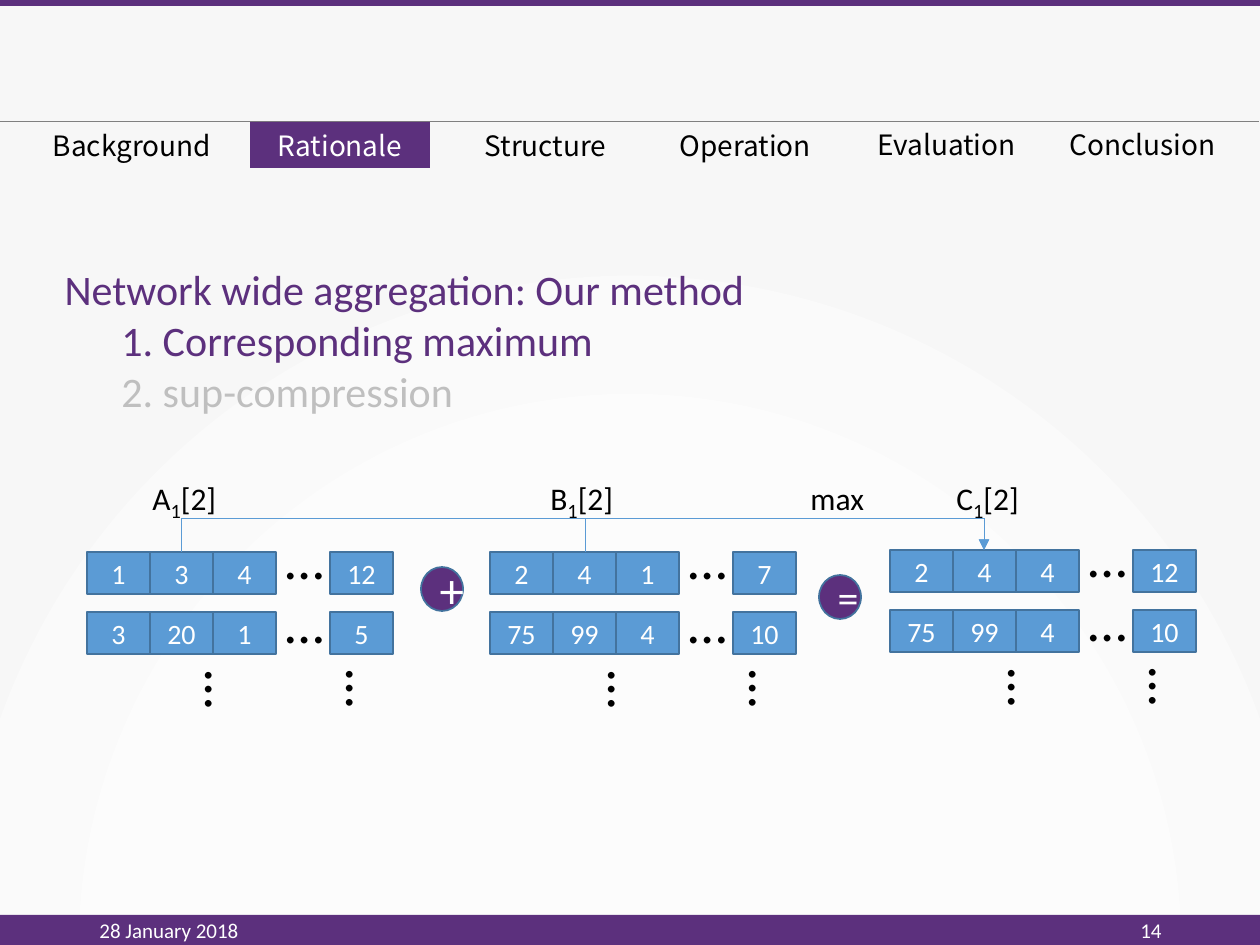
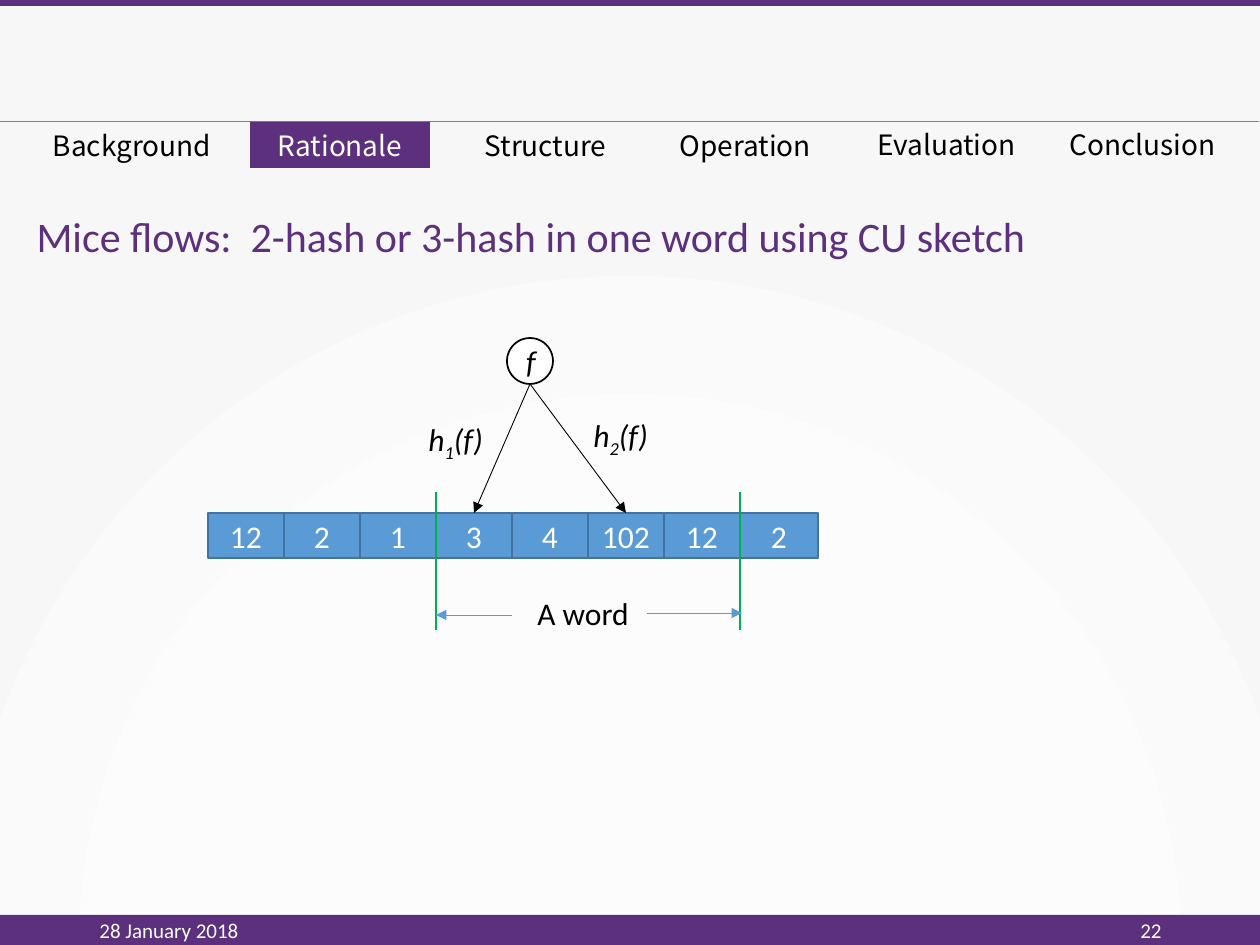
from dataclasses import dataclass

from pptx import Presentation
from pptx import oxml as ox
from pptx import util as u
from pptx.dml.color import RGBColor as Rgb
from pptx.enum import shapes as es, text as et
from pptx.oxml import ns

SCALE = 914400 / 126  # EMU in one px


@dataclass(frozen=True)
class Theme:
    brand: str = "5C307D"
    cell: str = "5B9BD5"
    edge: str = "43739E"
    rule: str = "808080"
    mark: str = "00B050"
    faded: str = "BFBFBF"
    dark: str = "000000"
    light: str = "FFFFFF"
    body: str = "Calibri"
    tab: str = "Noto Sans CJK SC"
    small: int = 12
    cells: int = 16
    label: int = 18
    sub: int = 20
    head: int = 24
    plus: int = 28
    dots: int = 32


T = Theme()
LEFT, MID, RIGHT = et.PP_ALIGN.LEFT, et.PP_ALIGN.CENTER, et.PP_ALIGN.RIGHT
TOP, HALF = et.MSO_ANCHOR.TOP, et.MSO_ANCHOR.MIDDLE
RECT, OVAL = es.MSO_SHAPE.RECTANGLE, es.MSO_SHAPE.OVAL

TABS = [  # name, left, top, width
    ("Background", 38, 122, 188),
    ("Rationale", 250, 122, 180),
    ("Structure", 471, 122, 149),
    ("Operation", 664, 122, 163),
    ("Evaluation", 864, 121, 165),
    ("Conclusion", 1055, 121, 175),
]
TABLES = [  # left, top, rows
    (87, 552, [(1, 3, 4, 12), (3, 20, 1, 5)]),
    (490, 552, [(2, 4, 1, 7), (75, 99, 4, 10)]),
    (890, 550, [(2, 4, 4, 12), (75, 99, 4, 10)]),
]
CELL_W, CELL_H, ROW_STEP, LAST_X = 63, 42, 60, 243


# Basic helpers
def px(*vals):
    return [u.Emu(round(v * SCALE)) for v in vals]


def put(item, **vals):
    for name, val in vals.items():
        setattr(item, name, val)


def paint(fill, color):
    fill.solid()
    fill.fore_color.rgb = Rgb.from_string(color)


def write(shape, runs, size, color, font=T.body, align=LEFT, anchor=TOP,
          wrap=True, italic=None):
    """Runs are (text, size, baseline) or a plain string."""
    frame = shape.text_frame
    put(frame, word_wrap=wrap, vertical_anchor=anchor,
        auto_size=et.MSO_AUTO_SIZE.NONE)
    para = frame.paragraphs[0]
    para.alignment = align
    for words, pts, base in [(runs, size, 0)] if isinstance(runs, str) else runs:
        run = para.add_run()
        run.text = words
        put(run.font, name=font, size=u.Pt(pts), italic=italic)
        run.font.color.rgb = Rgb.from_string(color)
        if base:
            run.font._element.set("baseline", str(base * 1000))


def note(slide, box, runs, size=T.label, color=T.dark, **fmt):
    shape = slide.shapes.add_textbox(*px(*box))
    write(shape, runs, size, color, **fmt)
    return shape


def block(slide, box, fill, edge=None, kind=RECT):
    shape = slide.shapes.add_shape(kind, *px(*box))
    shape.shadow.inherit = False
    paint(shape.fill, fill)
    if edge:
        paint(shape.line.fill, edge)
        shape.line.width = u.Pt(1)
    else:
        shape.line.fill.background()
    return shape


def cell(slide, box, value, size):
    write(block(slide, box, T.cell, T.edge), str(value), size, T.light,
          align=MID, anchor=HALF)


def disc(slide, box, sign, size, fill, edge, color, **fmt):
    write(block(slide, box, fill, edge, OVAL), sign, size, color,
          align=MID, anchor=HALF, **fmt)


def line(slide, start, end, color, width=0.5, arrow=False,
         kind=es.MSO_CONNECTOR.STRAIGHT):
    link = slide.shapes.add_connector(kind, *px(*start, *end))
    paint(link.line.fill, color)
    link.line.width = u.Pt(width)
    if arrow:
        ox.parse_xml(f'<a:tailEnd {ns.nsdecls("a")} type="triangle"/>')
        tip = link.line._get_or_add_ln().makeelement(ns.qn("a:tailEnd"), {"type": "triangle"})
        link.line._get_or_add_ln().append(tip)
    props = link._element.spPr
    props.append(props.makeelement(ns.qn("a:effectLst"), {}))
    return link


def bend(slide, start, end, rise):
    """Go up from start by rise, across, and down to an arrow at end."""
    link = line(slide, start, end, T.cell, arrow=True, kind=es.MSO_CONNECTOR.ELBOW)
    wide, high = end[0] - start[0], start[1] - end[1]
    left = (start[0] + end[0] - high) / 2
    top = (start[1] + end[1] - wide) / 2
    put(link, **dict(zip(("left", "top", "width", "height"),
                         px(left, top, high, wide))))
    props = link._element.spPr
    for name, val in {"rot": "5400000", "flipH": "1", "flipV": "1"}.items():
        props.find(ns.qn("a:xfrm")).set(name, val)
    guides = props.find(ns.qn("a:prstGeom")).get_or_add_avLst()
    guides.append(guides.makeelement(
        ns.qn("a:gd"), {"name": "adj1", "fmla": f"val {round(rise / high * 100000)}"}))


# Shared frame
def backdrop(master):
    stops = "".join(
        f'<a:gs pos="{pos}000"><a:srgbClr val="{color}"/></a:gs>'
        for pos, color in [(0, "FFFFFF"), (55, "FCFCFC"), (100, "F7F7F7")])
    root = master.element.cSld
    old = root.find(ns.qn("p:bg"))
    if old is not None:
        root.remove(old)
    root.insert(0, ox.parse_xml(
        f'<p:bg {ns.nsdecls("p", "a")}><p:bgPr><a:gradFill rotWithShape="1">'
        f'<a:gsLst>{stops}</a:gsLst><a:path path="circle">'
        '<a:fillToRect l="50000" t="130000" r="50000" b="-30000"/></a:path>'
        '</a:gradFill><a:effectLst/></p:bgPr></p:bg>'))


def page(deck, number, title, left, top, active="Rationale"):
    slide = deck.slides.add_slide(deck.slide_layouts[5])
    head = slide.shapes.title
    put(head, **dict(zip(("left", "top", "width", "height"),
                         px(left, top, 1104, 63))))
    write(head, title, T.head, T.brand)
    # Bands and footer
    for y, high in [(0, 6), (915, 30)]:
        block(slide, (0, y, 1260, high), T.brand)
    for x, words, side in [(87, "28 January 2018", LEFT), (890, number, RIGHT)]:
        note(slide, (x, 905, 284, 50), words, T.small, T.light,
             align=side, anchor=HALF)
    # Section tabs
    line(slide, (-1, 121), (1259, 121), T.rule)
    for name, x, y, wide in TABS:
        box = (x, y, wide, 46)
        fmt = dict(size=T.cells, font=T.tab, align=MID)
        if name == active:
            write(block(slide, box, T.brand), name, color=T.light, **fmt)
        else:
            note(slide, box, name, wrap=False, **fmt)
    return slide


# Slide contents
def grid(slide, left, top, rows):
    for i, row in enumerate(rows):
        y = top + i * ROW_STEP
        for x, value in zip((0, CELL_W, 2 * CELL_W, LAST_X), row):
            cell(slide, (left + x, y, CELL_W, CELL_H), value, T.cells)
        note(slide, (left + 186, top - 35 + i * 64, 58, 82), "…", T.dots)
    for x, y in [(112, 102), (253, 101)]:
        note(slide, (left + x, top + y, 64, 73), "…", T.dots).rotation = 90


def maximum(deck):
    slide = page(deck, "14", "Network wide aggregation: Our method", 52, 257)
    steps = [("1. Corresponding maximum", T.brand), ("2. sup-compression", T.faded)]
    for i, (words, color) in enumerate(steps):
        note(slide, (109, 308 + i * 51, 1000, 63), words, T.head, color)
    for table in TABLES:
        grid(slide, *table)
    for box, sign, size in [((421, 567, 42, 44), "+", T.plus),
                            ((819, 575, 42, 44), "=", T.head)]:
        disc(slide, box, sign, size, T.brand, T.edge, T.light)
    for x in (181, 585):
        bend(slide, (x, 552), (984, 550), 34)
    note(slide, (798, 473, 92, 50), "max")
    for x, name in [(140, "A"), (538, "B"), (944, "C")]:
        runs = [(name, T.label, 0), ("1", T.sub, -25), ("[2]", T.label, 0)]
        note(slide, (x, 469, 91, 50), runs, wrap=False)


def hashes(deck):
    slide = page(deck, "22", "Mice flows:  2-hash or 3-hash in one word using CU sketch",
                 24, 204)
    # Counter row
    for i, value in enumerate((12, 2, 1, 3, 4, 102, 12, 2)):
        cell(slide, (208 + i * 76, 513, 78 if i == 7 else 76, 45), value, T.label)
    # Flow and its two hashes
    disc(slide, (507, 338, 46, 46), "f", T.label, T.light, T.dark, T.dark, italic=True)
    for x in (626, 474):
        line(slide, (530, 384), (x, 513), T.dark, arrow=True)
    for x, y, index in [(416, 414, "1"), (581, 410, "2")]:
        runs = [("h", T.label, 0), (index, T.label, -25), ("(f)", T.label, 0)]
        note(slide, (x, y, 102, 50), runs, italic=True)
    # Word limits
    for x in (436, 740):
        line(slide, (x, 492), (x, 630), T.mark, 1)
    for start, end, y in [(647, 742, 613), (512, 436, 615)]:
        line(slide, (start, y), (end, y), T.cell, arrow=True)
    note(slide, (525, 588, 117, 50), "A word", wrap=False)


def main():
    deck = Presentation()
    put(deck, slide_width=u.Inches(10), slide_height=u.Inches(7.5))
    backdrop(deck.slide_master)
    maximum(deck)
    hashes(deck)
    deck.save("out.pptx")


if __name__ == "__main__":
    main()
